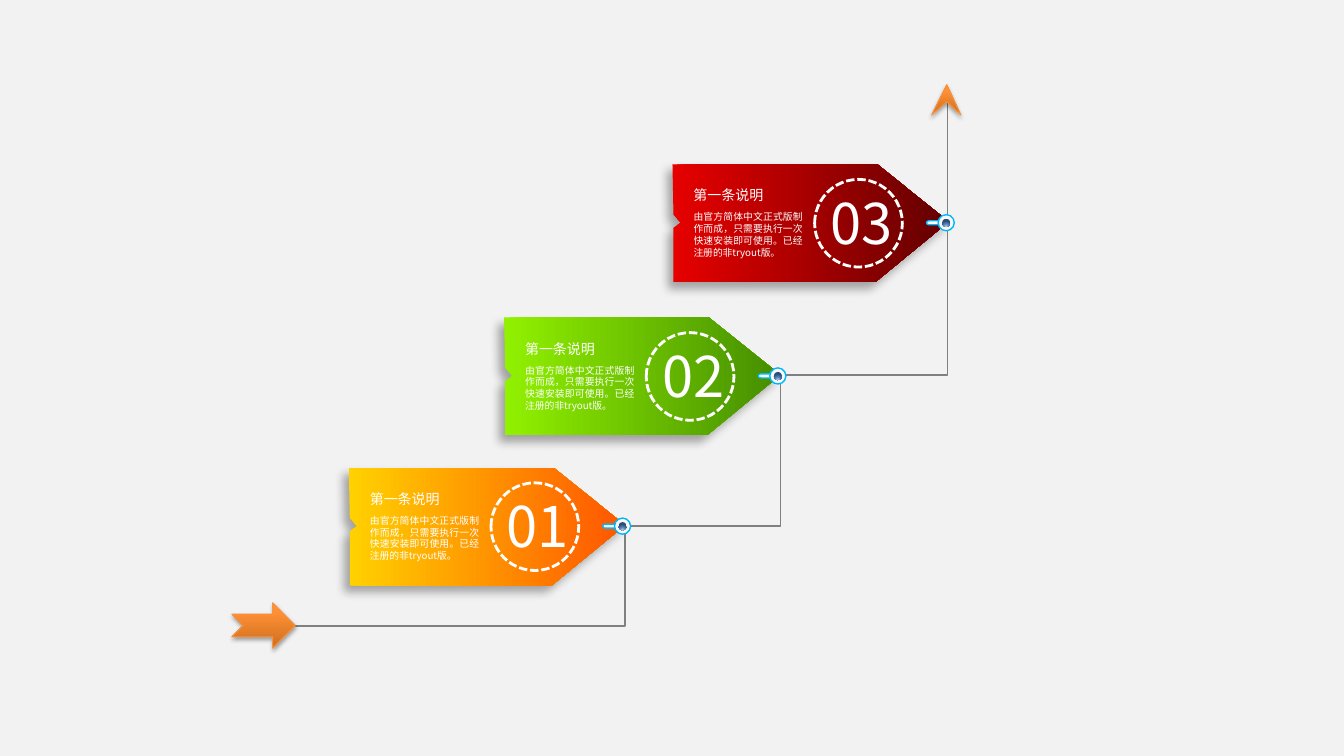
from lxml import etree
from pptx import Presentation
from pptx.dml.color import RGBColor
from pptx.enum.dml import MSO_LINE
from pptx.enum.shapes import MSO_SHAPE as Shape
from pptx.enum.text import MSO_AUTO_SIZE as AutoSize, PP_ALIGN as Align
from pptx.oxml import parse_xml
from pptx.oxml.ns import nsdecls, qn
from pptx.util import Inches, Pt

FONT = "Noto Sans CJK SC"
BACKGROUND = RGBColor(0xF2, 0xF2, 0xF2)
WHITE = RGBColor(0xFF, 0xFF, 0xFF)
GRAY = RGBColor(0x80, 0x80, 0x80)
CYAN = RGBColor(0x00, 0xB7, 0xFB)
ORANGE = RGBColor(0xF6, 0x92, 0x40)
YELLOW = RGBColor(0xFF, 0xD1, 0x00)
DEEP_ORANGE = RGBColor(0xFF, 0x56, 0x00)
LIME = RGBColor(0x91, 0xF1, 0x00)
GREEN = RGBColor(0x45, 0x8E, 0x00)
RED = RGBColor(0xE7, 0x00, 0x00)
DARK_RED = RGBColor(0x62, 0x00, 0x00)
ARROW_STOPS = [(0, RGBColor(0xCC, 0x6E, 0x20)), (80, RGBColor(0xFF, 0x90, 0x34)),
               (100, RGBColor(0xFF, 0x91, 0x36))]
DOT_STOPS = [(0, RGBColor(0xB9, 0xCD, 0xE5)), (46, RGBColor(0x58, 0x87, 0xC0)),
             (100, RGBColor(0x2C, 0x4D, 0x75))]
RING_STOPS = [(0, BACKGROUND), (100, WHITE)]

TITLE = "第一条说明"
BODY = "由官方简体中文正式版制作而成，只需要执行一次快速安装即可使用。已经注册的非tryout版。"

# Number, left, top, start colour, end colour
CARDS = [
    ("01", 3.46, 4.64, YELLOW, DEEP_ORANGE),
    ("03", 6.67, 1.63, RED, DARK_RED),
    ("02", 5.00, 3.15, LIME, GREEN),
]
CARD_OUTLINE = [(0, 0), (2.03, 0), (2.74, 0.57), (2.01, 1.17), (0.01, 1.17),
                (0.01, 0.63), (0.08, 0.58), (0.01, 0.5)]
ROUTE = [(2.89, 6.21), (6.2, 6.21), (6.2, 5.22), (7.74, 5.22),
         (7.74, 3.72), (9.4, 3.72), (9.4, 0.92)]
ARROW_TIP = [(9.39, 0.84), (9.24, 1.14), (9.39, 1.01), (9.53, 1.14)]


def set_line(shape, color=None, width=1):
    if color is None:
        shape.line.fill.background()
    else:
        shape.line.color.rgb = color
        shape.line.width = Pt(width)


def set_gradient(shape, stops, angle=0, center=None):
    """Fill along an angle, or outward from a center given as left, top, right, bottom."""
    marks = "".join(f'<a:gs pos="{pos * 1000}"><a:srgbClr val="{color}"/></a:gs>'
                    for pos, color in stops)
    if center:
        left, top, right, bottom = (side * 1000 for side in center)
        course = (f'<a:path path="circle"><a:fillToRect l="{left}" t="{top}" '
                  f'r="{right}" b="{bottom}"/></a:path>')
    else:
        course = f'<a:lin ang="{angle * 60000}" scaled="0"/>'
    shape.fill.background()
    properties = shape._element.spPr
    properties.replace(properties.find(qn("a:noFill")), parse_xml(
        f'<a:gradFill {nsdecls("a")} rotWithShape="1"><a:gsLst>{marks}</a:gsLst>'
        f'{course}</a:gradFill>'))


def set_shadow(shape, alpha, blur, distance, angle):
    effects = shape._element.spPr.find(qn("a:effectLst"))
    effects.append(parse_xml(
        f'<a:outerShdw {nsdecls("a")} blurRad="{Pt(blur)}" dist="{Pt(distance)}" '
        f'dir="{angle * 60000}" algn="ctr" rotWithShape="0"><a:srgbClr val="000000">'
        f'<a:alpha val="{alpha * 1000}"/></a:srgbClr></a:outerShdw>'))


def add_preset(shapes, kind, left, top, width, height):
    shape = shapes.add_shape(kind, Inches(left), Inches(top), Inches(width), Inches(height))
    shape.shadow.inherit = False
    return shape


def add_outline(shapes, points, close=True):
    corners = [(Inches(x), Inches(y)) for x, y in points]
    builder = shapes.build_freeform(*corners[0])
    builder.add_line_segments(corners[1:], close=close)
    shape = builder.convert_to_shape()
    shape.shadow.inherit = False
    return shape


def add_text(shapes, text, left, top, width, height, size, wrap=False, align=Align.LEFT):
    box = shapes.add_textbox(Inches(left), Inches(top), Inches(width), Inches(height))
    frame = box.text_frame
    frame.word_wrap = wrap
    frame.auto_size = AutoSize.SHAPE_TO_FIT_TEXT
    para = frame.paragraphs[0]
    para.alignment = align
    span = para.add_run()
    span.text = text
    span.font.size = Pt(size)
    span.font.color.rgb = WHITE
    span.font.name = FONT
    etree.SubElement(span._r.rPr, qn("a:ea"), typeface=FONT)


def add_marker(shapes, left, top):
    pin = add_preset(shapes, Shape.FLOWCHART_TERMINATOR, left + 2.52, top + 0.56, 0.16, 0.04)
    pin.fill.solid()
    pin.fill.fore_color.rgb = WHITE
    set_line(pin, CYAN)
    ring = add_preset(shapes, Shape.OVAL, left + 2.635, top + 0.5, 0.16, 0.16)
    set_gradient(ring, RING_STOPS, center=(50, 50, 50, 50))
    set_line(ring, CYAN)
    dot = add_preset(shapes, Shape.OVAL, left + 2.675, top + 0.54, 0.08, 0.08)
    set_gradient(dot, DOT_STOPS, center=(50, 130, 50, -30))
    set_line(dot)


def add_card(page, number, left, top, start, end):
    shapes = page.shapes.add_group_shape().shapes
    card = add_outline(shapes, [(left + x, top + y) for x, y in CARD_OUTLINE])
    set_gradient(card, [(0, start), (100, end)])
    set_line(card)
    set_shadow(card, 32, 7, 6, 130)
    add_marker(shapes, left, top)
    add_text(shapes, number, left + 1.47, top + 0.19, 0.83, 0.77, size=40)
    add_text(shapes, TITLE, left + 0.11, top + 0.175, 0.9, 0.27, size=10)
    add_text(shapes, BODY, left + 0.11, top + 0.415, 1.28, 0.57, size=7,
             wrap=True, align=Align.JUSTIFY)
    circle = add_preset(shapes, Shape.OVAL, left + 1.41, top + 0.15, 0.87, 0.87)
    circle.fill.background()
    set_line(circle, WHITE, 2)
    circle.line.dash_style = MSO_LINE.SQUARE_DOT


def style_arrow(arrow):
    set_gradient(arrow, ARROW_STOPS, angle=270)
    set_line(arrow, ORANGE, 0.75)
    set_shadow(arrow, 35, 3.1, 1.8, 90)


def main():
    deck = Presentation()
    deck.slide_width, deck.slide_height = Inches(13.33), Inches(7.5)
    page = deck.slides.add_slide(deck.slide_layouts[6])
    page.background.fill.solid()
    page.background.fill.fore_color.rgb = BACKGROUND

    # Stepped route behind the cards
    route = add_outline(page.shapes, ROUTE, close=False)
    route.fill.background()
    set_line(route, GRAY)

    # Three numbered cards
    for card in CARDS:
        add_card(page, *card)

    # Arrows at the start and end of the route
    style_arrow(add_preset(page.shapes, Shape.NOTCHED_RIGHT_ARROW, 2.3, 5.98, 0.63, 0.45))
    style_arrow(add_outline(page.shapes, ARROW_TIP))

    deck.save("out.pptx")


if __name__ == "__main__":
    main()
